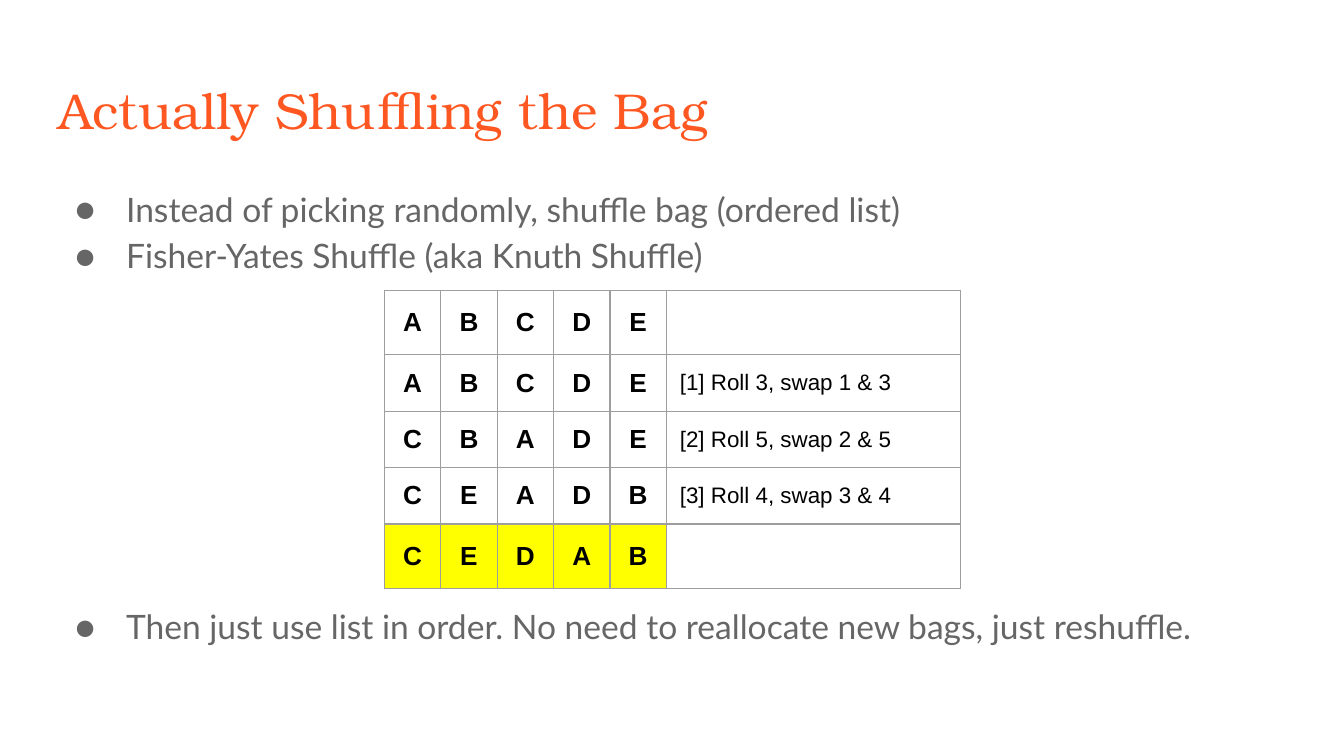
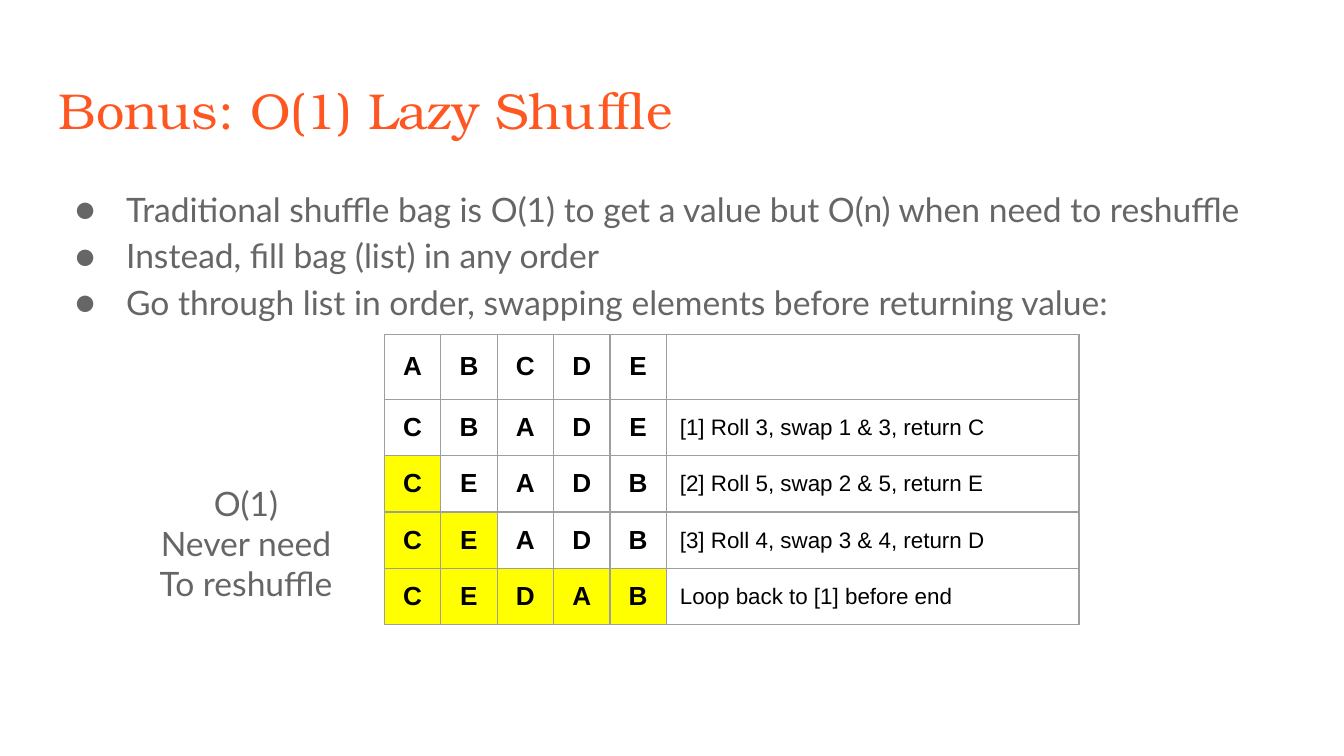
from lxml.etree import SubElement
from pptx import Presentation
from pptx.dml.color import RGBColor
from pptx.enum.text import MSO_ANCHOR, PP_ALIGN
from pptx.oxml.ns import qn
from pptx.util import Inches, Pt

LEFT, CENTER = PP_ALIGN.LEFT, PP_ALIGN.CENTER
MIDDLE = MSO_ANCHOR.MIDDLE

COLORS = {"title": "FF5722", "body": "666666", "cell": "000000",
          "grid": "9E9E9E", "mark": "FFFF00"}
SERIF, SANS, PLAIN = "TeX Gyre Bonum", "Lato", "Arial"
SIDE, WIDTH = 0.34, 9.32      # shared left edge and width of title and body
UNIT, TALL = 0.42, 0.48       # table square; height of a row without a label
GRID_X = 2.86


class Deck:
    """Holds the style and the current slide."""

    def __init__(self):
        self.prs = Presentation()
        self.prs.slide_width = Inches(10)
        self.prs.slide_height = Inches(10 * 9 / 16)
        self.slide = None

    def start(self, title):
        self.slide = self.prs.slides.add_slide(self.prs.slide_layouts[6])
        frame = self.frame(SIDE, 0.49, WIDTH, 0.63)
        self.run(frame.paragraphs[0], title, 27, SERIF, "title")

    def frame(self, left, top, width, height):
        box = self.slide.shapes.add_textbox(
            Inches(left), Inches(top), Inches(width), Inches(height))
        frame = box.text_frame
        frame.word_wrap = True
        self.pad(frame, 0.1)
        return frame

    def pad(self, item, high):
        item.margin_left = item.margin_right = Inches(0.1)
        item.margin_top = item.margin_bottom = Inches(high)

    def run(self, para, text, size, font, color, bold=False):
        run = para.add_run()
        run.text = text
        run.font.size = Pt(size)
        run.font.name = font
        run.font.bold = bold
        run.font.color.rgb = RGBColor.from_string(COLORS[color])

    def lines(self, frame, texts):
        """Add one body paragraph per text and return them."""
        paras = []
        for i, text in enumerate(texts):
            para = frame.add_paragraph() if i else frame.paragraphs[0]
            self.run(para, text, 18, SANS, "body")
            paras.append(para)
        return paras

    def bullets(self, texts, gaps=None):
        """Add the bullet list; gaps maps an index to its space before."""
        paras = self.lines(self.frame(SIDE, 1.26, WIDTH, 3.74), texts)
        for i, para in enumerate(paras):
            para.line_spacing = 1.15
            para.space_before = Pt((gaps or {}).get(i, 0))
            props = para._p.get_or_add_pPr()
            props.set("marL", str(Inches(0.5)))
            props.set("indent", str(Inches(-0.38)))
            tint = SubElement(props, qn("a:buClr"))
            SubElement(tint, qn("a:srgbClr"), val=COLORS["body"])
            SubElement(props, qn("a:buSzPts"), val="1800")
            SubElement(props, qn("a:buFont"), typeface=SANS)
            SubElement(props, qn("a:buChar"), char="●")

    def note(self, texts, left, top, width, height):
        for para in self.lines(self.frame(left, top, width, height), texts):
            para.alignment = CENTER

    def border(self, cell):
        props = cell._tc.get_or_add_tcPr()
        for side in ("lnL", "lnR", "lnT", "lnB"):
            line = SubElement(props, qn("a:" + side), w=str(Pt(0.75)))
            fill = SubElement(line, qn("a:solidFill"))
            SubElement(fill, qn("a:srgbClr"), val=COLORS["grid"])

    def cell(self, cell, text, size, align, bold, mark):
        self.border(cell)
        if mark:
            cell.fill.solid()
            cell.fill.fore_color.rgb = RGBColor.from_string(COLORS["mark"])
        else:
            cell.fill.background()
        if text:
            self.pad(cell, 0.09)
            cell.vertical_anchor = MIDDLE
            para = cell.text_frame.paragraphs[0]
            para.alignment = align
            self.run(para, text, size, PLAIN, "cell", bold)

    def grid(self, top, wide, rows):
        """Each row is (letters, label, number of marked letters)."""
        count = len(rows[0][0])
        highs = [UNIT if label else TALL for _, label, _ in rows]
        shape = self.slide.shapes.add_table(
            len(rows), count + 1, Inches(GRID_X), Inches(top),
            Inches(count * UNIT + wide), Inches(sum(highs)))
        table = shape.table
        table.first_row = table.horz_banding = False
        for i in range(count):
            table.columns[i].width = Inches(UNIT)
        table.columns[count].width = Inches(wide)
        for r, (letters, label, marks) in enumerate(rows):
            table.rows[r].height = Inches(highs[r])
            for c, letter in enumerate(letters):
                self.cell(table.cell(r, c), letter, 14, CENTER, True, c < marks)
            self.cell(table.cell(r, count), label, 12, LEFT, False, False)


def main():
    deck = Deck()

    # Full shuffle, with room for the table before the last bullet
    deck.start("Actually Shuffling the Bag")
    deck.bullets([
        "Instead of picking randomly, shuffle bag (ordered list)",
        "Fisher-Yates Shuffle (aka Knuth Shuffle)",
        "Then just use list in order. No need to reallocate new bags, just reshuffle.",
    ], gaps={2: 174})
    deck.grid(2.16, 2.19, [
        ("ABCDE", "", 0),
        ("ABCDE", "[1] Roll 3, swap 1 & 3", 0),
        ("CBADE", "[2] Roll 5, swap 2 & 5", 0),
        ("CEADB", "[3] Roll 4, swap 3 & 4", 0),
        ("CEDAB", "", 5),
    ])

    # Lazy shuffle
    deck.start("Bonus: O(1) Lazy Shuffle")
    deck.bullets([
        "Traditional shuffle bag is O(1) to get a value but O(n) when need to reshuffle",
        "Instead, fill bag (list) in any order",
        "Go through list in order, swapping elements before returning value:",
    ])
    deck.grid(2.49, 3.07, [
        ("ABCDE", "", 0),
        ("CBADE", "[1] Roll 3, swap 1 & 3, return C", 0),
        ("CEADB", "[2] Roll 5, swap 2 & 5, return E", 1),
        ("CEADB", "[3] Roll 4, swap 3 & 4, return D", 2),
        ("CEDAB", "Loop back to [1] before end", 5),
    ])
    deck.note(["O(1)", "Never need", "To reshuffle"], 1.07, 3.49, 1.52, 1.16)

    deck.prs.save("out.pptx")


if __name__ == "__main__":
    main()
